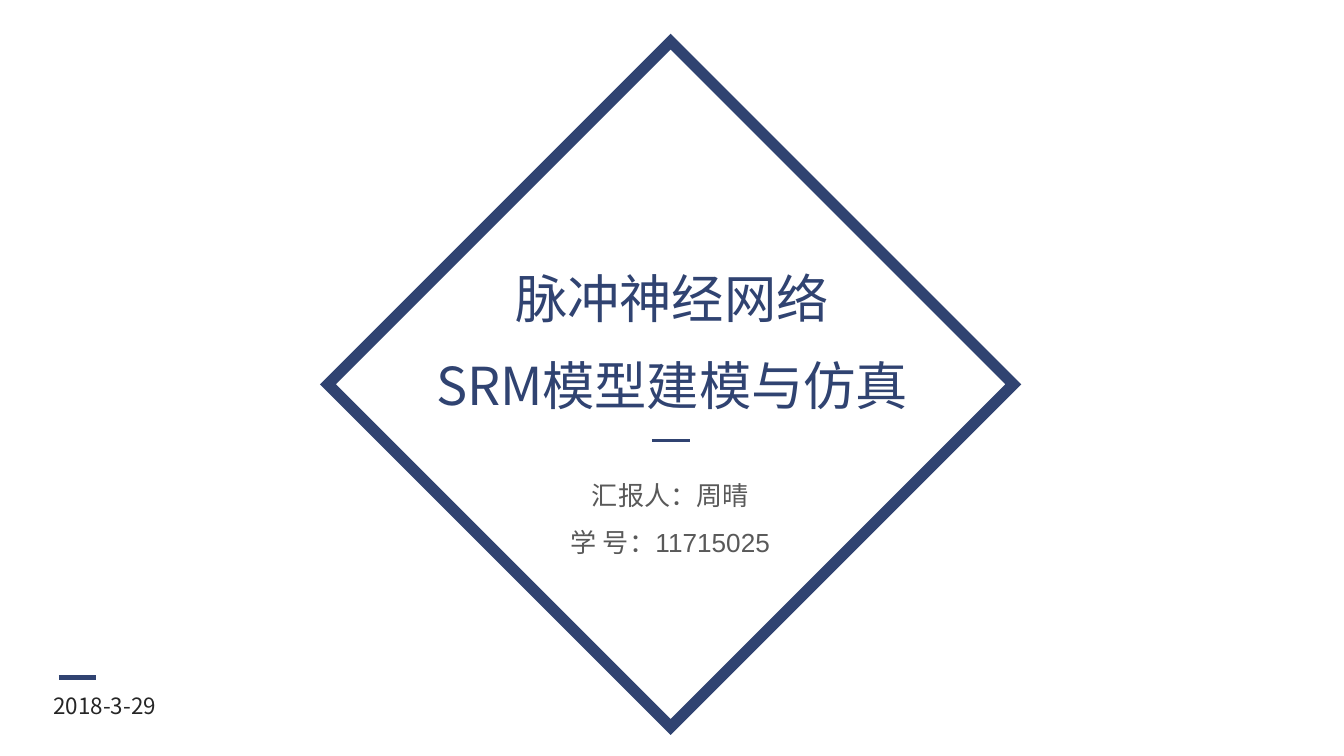
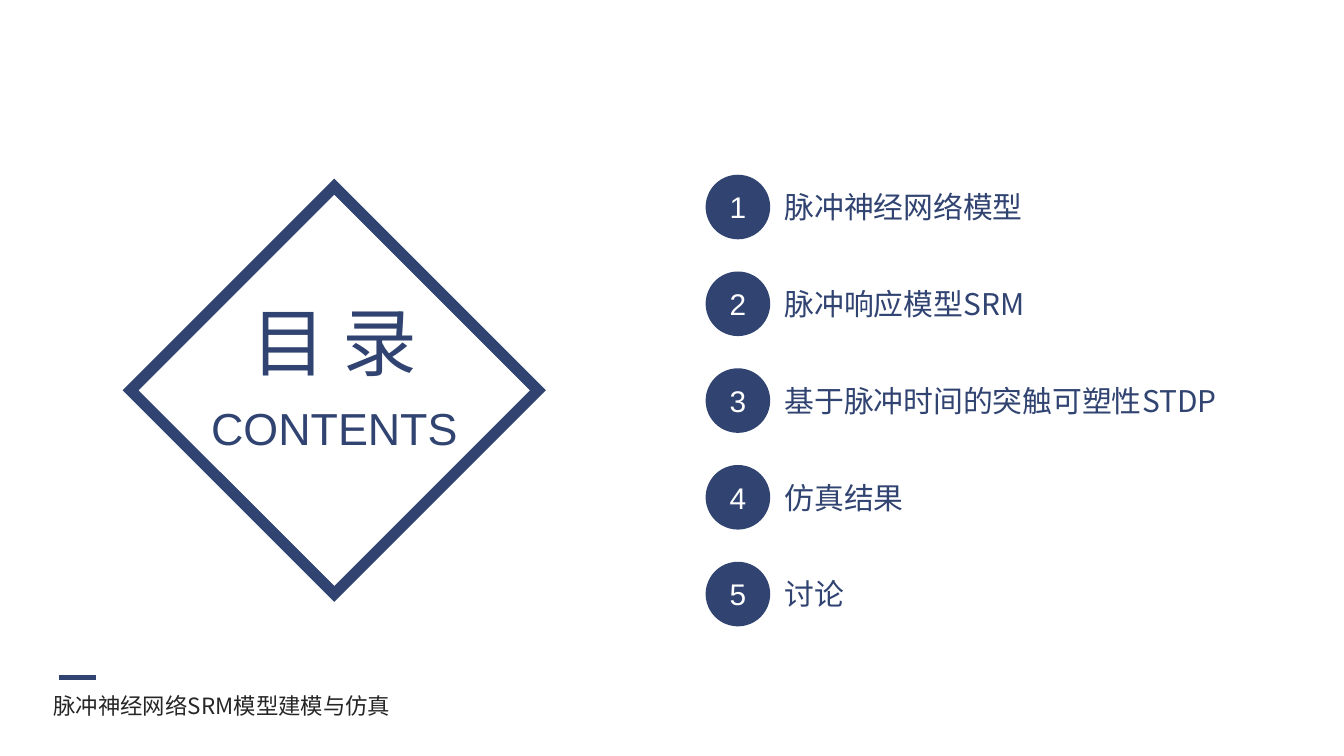
from dataclasses import dataclass

from lxml import etree
from pptx import Presentation
from pptx.dml.color import RGBColor
from pptx.enum.shapes import MSO_CONNECTOR, MSO_SHAPE
from pptx.enum.text import MSO_ANCHOR, MSO_AUTO_SIZE, PP_ALIGN
from pptx.oxml.ns import qn
from pptx.util import Pt

LEFT, CENTER = PP_ALIGN.LEFT, PP_ALIGN.CENTER
TOP, MIDDLE = MSO_ANCHOR.TOP, MSO_ANCHOR.MIDDLE
GROW = MSO_AUTO_SIZE.SHAPE_TO_FIT_TEXT
STRAIGHT = MSO_CONNECTOR.STRAIGHT
DIAMOND, OVAL = MSO_SHAPE.DIAMOND, MSO_SHAPE.OVAL
TITLE_ONLY = 5

NAVY, GREY, DARK, WHITE = "304371", "595959", "262626", "FFFFFF"
CJK, LATIN = "Noto Sans CJK SC", "Arial"


@dataclass(frozen=True)
class Style:
    size: float
    font: str = CJK
    color: str = NAVY
    align: PP_ALIGN = LEFT
    spacing: float = 1.0


@dataclass(frozen=True)
class Box:
    left: float
    top: float
    width: float
    height: float

    def lengths(self) -> tuple:
        return Pt(self.left), Pt(self.top), Pt(self.width), Pt(self.height)


HEADING = Style(28, align=CENTER)
CONTENTS_HEADING = Style(40, align=CENTER)
CONTENTS_LABEL = Style(24, LATIN, align=CENTER)
SPEAKER = Style(14, LATIN, GREY, CENTER, 1.5)
FOOTER = Style(12, color=DARK)
ITEM = Style(16)
NUMBER = Style(16, LATIN, WHITE, CENTER)

CHAPTERS = (
    "脉冲神经网络模型",
    "脉冲响应模型SRM",
    "基于脉冲时间的突触可塑性STDP",
    "仿真结果",
    "讨论",
)
CHAPTER_WIDTHS = (144, 147, 249, 79, 47)
CHAPTER_LEFT, CHAPTER_TOP, CHAPTER_PITCH = 378, 93.6, 51.84
CIRCLE, ITEM_LEFT, ITEM_DROP = 34.6, 413.3, 4.2


def rgb(color: str) -> RGBColor:
    return RGBColor.from_string(color)


def write(sp, text: str, style: Style, anchor=TOP) -> None:
    tf = sp.text_frame
    tf.text = text
    tf.word_wrap = True
    tf.vertical_anchor = anchor
    for p in tf.paragraphs:
        p.alignment = style.align
        p.line_spacing = style.spacing
        for r in p.runs:
            r.font.size = Pt(style.size)
            r.font.name = style.font
            r.font.color.rgb = rgb(style.color)
            # Chinese glyphs take the East Asian font
            etree.SubElement(r.font._element, qn("a:ea"), typeface=CJK)


def add_text(shapes, box: Box, text: str, style: Style) -> None:
    sp = shapes.add_textbox(*box.lengths())
    write(sp, text, style)
    sp.text_frame.auto_size = GROW


def set_title(s, box: Box, text: str, style: Style) -> None:
    sp = s.shapes.title
    sp.left, sp.top, sp.width, sp.height = box.lengths()
    write(sp, text, style)
    sp.text_frame.auto_size = GROW


def add_rule(s, left: float, right: float, y: float, weight: float) -> None:
    line = s.shapes.add_connector(STRAIGHT, Pt(left), Pt(y), Pt(right), Pt(y))
    line.line.color.rgb = rgb(NAVY)
    line.line.width = Pt(weight)
    etree.SubElement(line._element.spPr, qn("a:effectLst"))


def add_diamond(s, left: float, top: float, side: float) -> None:
    sp = s.shapes.add_shape(DIAMOND, *Box(left, top, side, side).lengths())
    sp.shadow.inherit = False
    sp.fill.background()
    sp.line.color.rgb = rgb(NAVY)
    sp.line.width = Pt(6)
    # Sharp corners
    ln = sp._element.spPr.find(qn("a:ln"))
    etree.SubElement(ln, qn("a:miter"), lim="800000")


def add_footer(s, text: str, width: float) -> None:
    add_rule(s, 31.6, 51.4, 363, 2.25)
    add_text(s.shapes, Box(21.6, 367.2, width, 21.6), text, FOOTER)


def add_chapter(s, index: int, text: str, width: float) -> None:
    top = CHAPTER_TOP + index * CHAPTER_PITCH
    group = s.shapes.add_group_shape()
    add_text(group.shapes, Box(ITEM_LEFT, top + ITEM_DROP, width, 26.6), text, ITEM)
    circle = Box(CHAPTER_LEFT, top, CIRCLE, CIRCLE)
    sp = group.shapes.add_shape(OVAL, *circle.lengths())
    sp.shadow.inherit = False
    sp.fill.solid()
    sp.fill.fore_color.rgb = rgb(NAVY)
    sp.line.fill.background()
    write(sp, str(index + 1), NUMBER, MIDDLE)


def build_cover(prs) -> None:
    s = prs.slides.add_slide(prs.slide_layouts[TITLE_ONLY])
    add_diamond(s, 175.7, 22.3, 367.2)
    # Two-line heading
    set_title(s, Box(267.8, 139, 184.4, 41), "脉冲神经网络", HEADING)
    add_text(s.shapes, Box(222.3, 185.8, 275.4, 41), "SRM模型建模与仿真", HEADING)
    add_rule(s, 349.3, 369.8, 236, 1.5)
    # Speaker
    add_text(s.shapes, Box(195.8, 244.8, 326.9, 58.3),
             "汇报人：周晴\n学 号：11715025", SPEAKER)
    add_footer(s, "2018-3-29", 75)


def build_contents(prs) -> None:
    s = prs.slides.add_slide(prs.slide_layouts[TITLE_ONLY])
    add_diamond(s, 70, 100, 218.2)
    set_title(s, Box(125.5, 154.8, 107.3, 55.4), "目 录", CONTENTS_HEADING)
    add_text(s.shapes, Box(105.3, 211, 147.6, 36), "CONTENTS", CONTENTS_LABEL)
    # Numbered chapters
    for index, (text, width) in enumerate(zip(CHAPTERS, CHAPTER_WIDTHS)):
        add_chapter(s, index, text, width)
    add_footer(s, "脉冲神经网络SRM模型建模与仿真", 198.7)


def main() -> None:
    prs = Presentation()
    prs.slide_width, prs.slide_height = Pt(720), Pt(405)
    build_cover(prs)
    build_contents(prs)
    prs.save("out.pptx")


if __name__ == "__main__":
    main()
